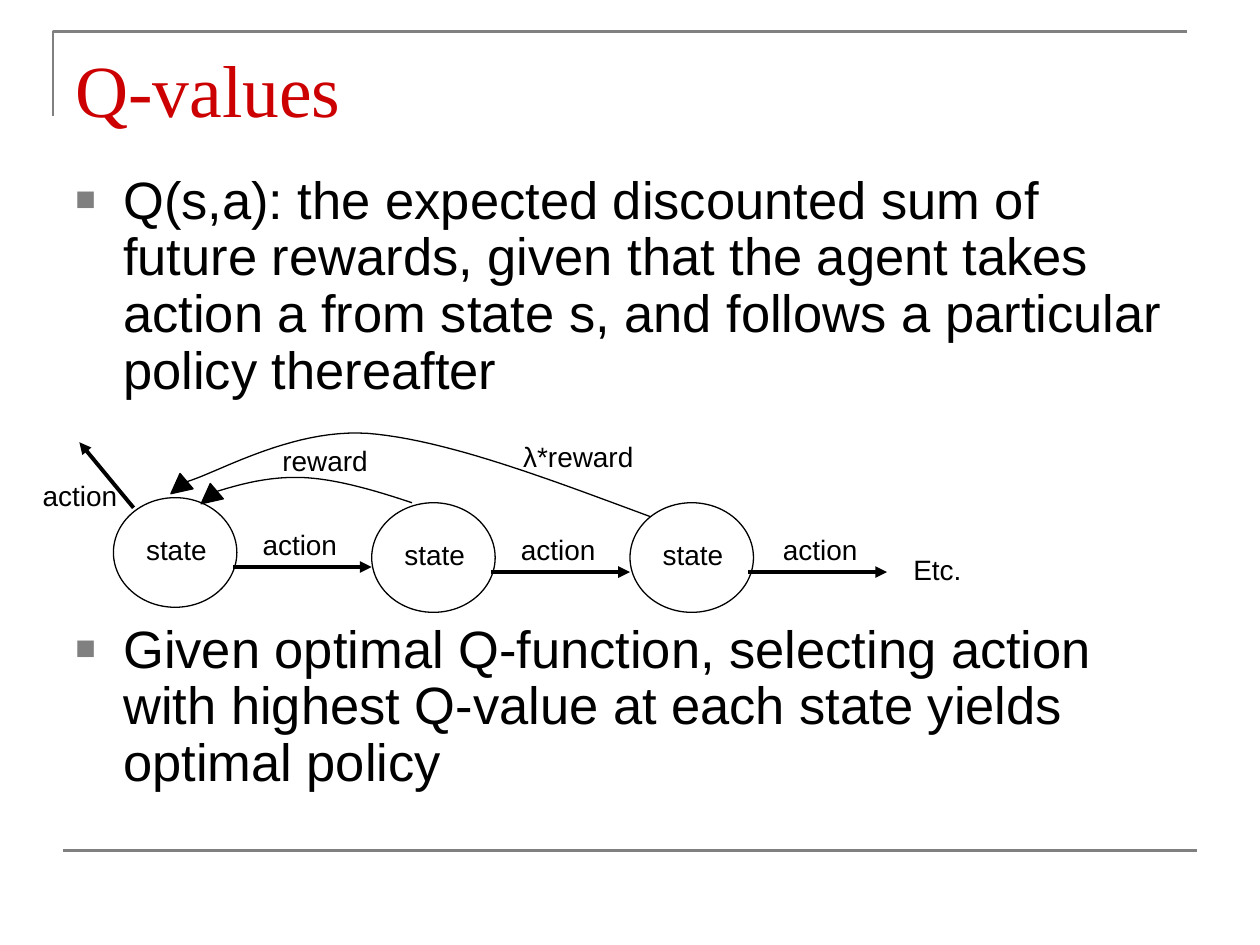
from lxml.etree import SubElement
from pptx import Presentation
from pptx.dml.color import RGBColor
from pptx.enum.shapes import MSO_CONNECTOR, MSO_SHAPE
from pptx.enum.text import MSO_ANCHOR, PP_ALIGN
from pptx.oxml.ns import qn
from pptx.util import Inches, Pt

HUES = {"ink": "000000", "rule": "808080", "title": "CC0000"}

TITLE = "Q-values"
# Bullet text and the space before it, in points
BULLETS = [
    ("Q(s,a): the expected discounted sum of future rewards, given that the "
     "agent takes action a from state s, and follows a particular policy "
     "thereafter", 0),
    ("Given optimal Q-function, selecting action with highest Q-value at "
     "each state yields optimal policy", 127),
]
# Left and top of each state, then left of its arrow and of the arrow's label
STATES = [(0.9, 3.95, 1.85, 1.85), (2.95, 3.99, 3.9, 3.9),
          (5, 3.99, 5.94, 5.98)]
# Text, left, top, width
LABELS = [
    ("Etc.", 6.85, 4.34, 1.18),
    ("reward", 2.09, 3.47, 0.98),
    ("λ*reward", 3.99, 3.44, 1.2),
    ("action", 0.2, 3.75, 0.87),
]
# Start point, then Bezier pieces of three points each
CURVES = [
    [(3.27, 3.99), (2.97, 3.89), (2.66, 3.8), (2.4, 3.79),
     (2.14, 3.78), (1.91, 3.84), (1.69, 3.91)],
    [(5.16, 4.1), (4.35, 3.8), (3.54, 3.49), (2.92, 3.44),
     (2.3, 3.4), (1.7, 3.77), (1.46, 3.83)],
]
HEADS = [(1.58, 3.87), (1.34, 3.79)]

deck = Presentation()
deck.slide_width, deck.slide_height = Inches(10), Inches(7.5)
slide = deck.slides.add_slide(deck.slide_layouts[6])
shapes = slide.shapes


def hue(name):
    return RGBColor.from_string(HUES[name])


def stroke(shape, name, width):
    shape.line.color.rgb = hue(name)
    shape.line.width = Pt(width)


def style(font, face, size, name):
    font.name, font.size, font.color.rgb = face, Pt(size), hue(name)


def text_box(x, y, w, h):
    frame = shapes.add_textbox(*map(Inches, (x, y, w, h))).text_frame
    frame.word_wrap = True
    frame.vertical_anchor = MSO_ANCHOR.TOP
    return frame


def label(text, x, y, w):
    par = text_box(x, y, w, 0.37).paragraphs[0]
    par.alignment = PP_ALIGN.CENTER
    run = par.add_run()
    run.text = text
    style(run.font, "Arial", 16, "ink")


def line(start, end, name, width, arrow=False):
    link = shapes.add_connector(MSO_CONNECTOR.STRAIGHT,
                                *map(Inches, (*start, *end)))
    stroke(link, name, width)
    if arrow:
        SubElement(link.line._get_or_add_ln(), qn("a:tailEnd"),
                   type="triangle")
    SubElement(link._element.spPr, qn("a:effectLst"))


def outline(points, name, width):
    first, *rest = [(Inches(x), Inches(y)) for x, y in points]
    pen = shapes.build_freeform(*first)
    pen.add_line_segments(rest, close=False)
    shape = pen.convert_to_shape()
    shape.shadow.inherit = False
    shape.fill.background()
    stroke(shape, name, width)


def trace(knots, steps=24):
    points = [knots[0]]
    for i in range(0, len(knots) - 1, 3):
        a, b, c, d = knots[i:i + 4]
        for n in range(1, steps + 1):
            t = n / steps
            u = 1 - t
            points.append(tuple(
                u**3 * p + 3 * u * u * t * q + 3 * u * t * t * r + t**3 * s
                for p, q, r, s in zip(a, b, c, d)))
    return points


# Frame rules
outline([(0.42, 0.92), (0.42, 0.25), (9.42, 0.25)], "rule", 1.5)
line((0.5, 6.75), (9.5, 6.75), "rule", 1.5)

# Title
head = text_box(0.5, 0.3, 9, 1.03)
run = head.paragraphs[0].add_run()
run.text = TITLE
style(run.font, "Times New Roman", 42, "title")

# Bullets, with room for the diagram between them
body = text_box(0.5, 1.33, 9, 5.37)
for i, (text, gap) in enumerate(BULLETS):
    par = body.add_paragraph() if i else body.paragraphs[0]
    par.line_spacing = 0.9
    if gap:
        par.space_before = Pt(gap)
    props = par._p.get_or_add_pPr()
    props.set("marL", str(Inches(0.38)))
    props.set("indent", str(-Inches(0.38)))
    tint = SubElement(props, qn("a:buClr"))
    SubElement(tint, qn("a:srgbClr"), val=HUES["rule"])
    SubElement(props, qn("a:buSzPct"), val="65000")
    SubElement(props, qn("a:buFont"), typeface="Arial")
    SubElement(props, qn("a:buChar"), char="■")
    run = par.add_run()
    run.text = text
    style(run.font, "Arial", 30, "ink")

# States, each with the action that leaves it
for x, y, start, left in STATES:
    ring = shapes.add_shape(MSO_SHAPE.OVAL,
                            *map(Inches, (x, y, 0.98, 0.87)))
    ring.shadow.inherit = False
    ring.fill.background()
    stroke(ring, "ink", 0.75)
    label("state", x + 0.11, y + 0.23, 0.78)
    line((start, y + 0.55), (start + 1.1, y + 0.55), "ink", 2.25, True)
    label("action", left, y + 0.19, 1.06)

# Rewards flowing back to the first state
for knots in CURVES:
    outline(trace(knots), "ink", 0.75)
for x, y in HEADS:
    tip = shapes.add_shape(MSO_SHAPE.ISOSCELES_TRIANGLE,
                           *map(Inches, (x, y, 0.16, 0.16)))
    tip.adjustments[0] = 0.53
    tip.rotation = 229.5
    tip.shadow.inherit = False
    tip.fill.solid()
    tip.fill.fore_color.rgb = hue("ink")
    stroke(tip, "ink", 0.75)

# Other action and loose labels
line((1.06, 4.03), (0.63, 3.51), "ink", 2.25, True)
for item in LABELS:
    label(*item)

deck.save("out.pptx")
